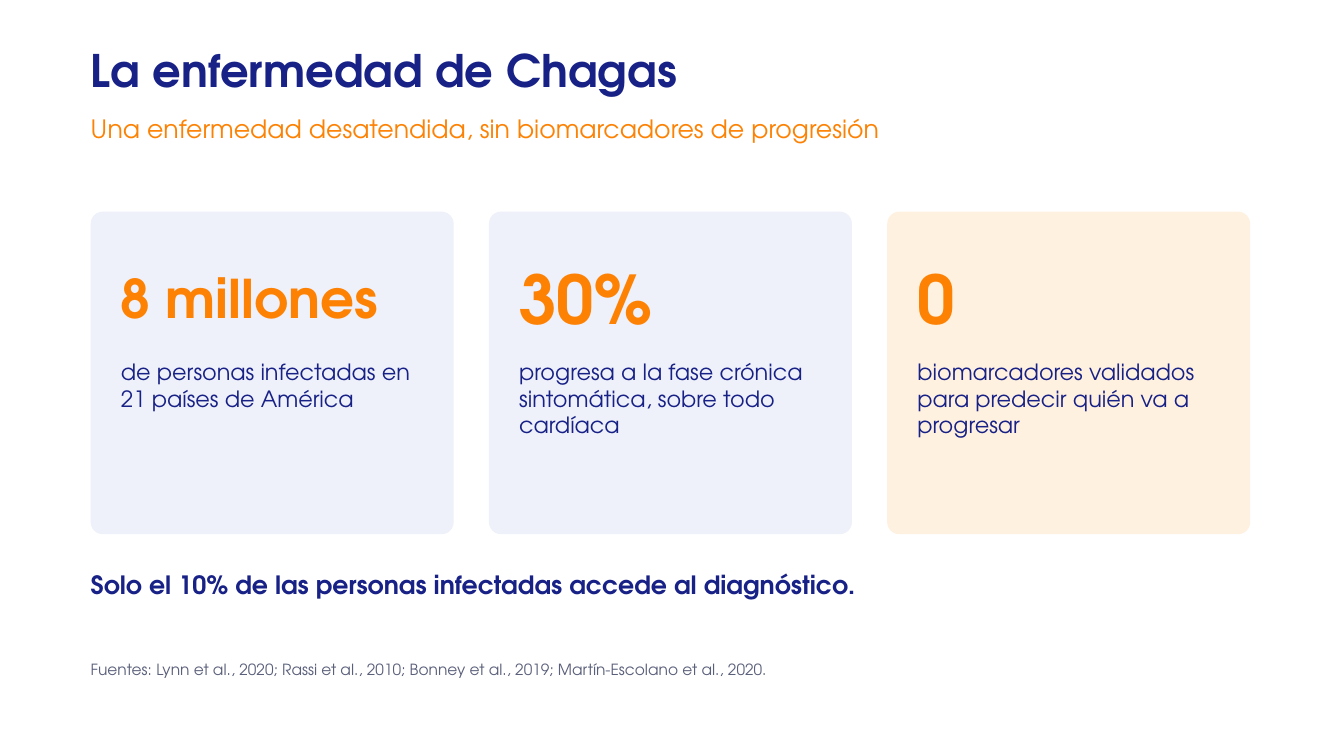
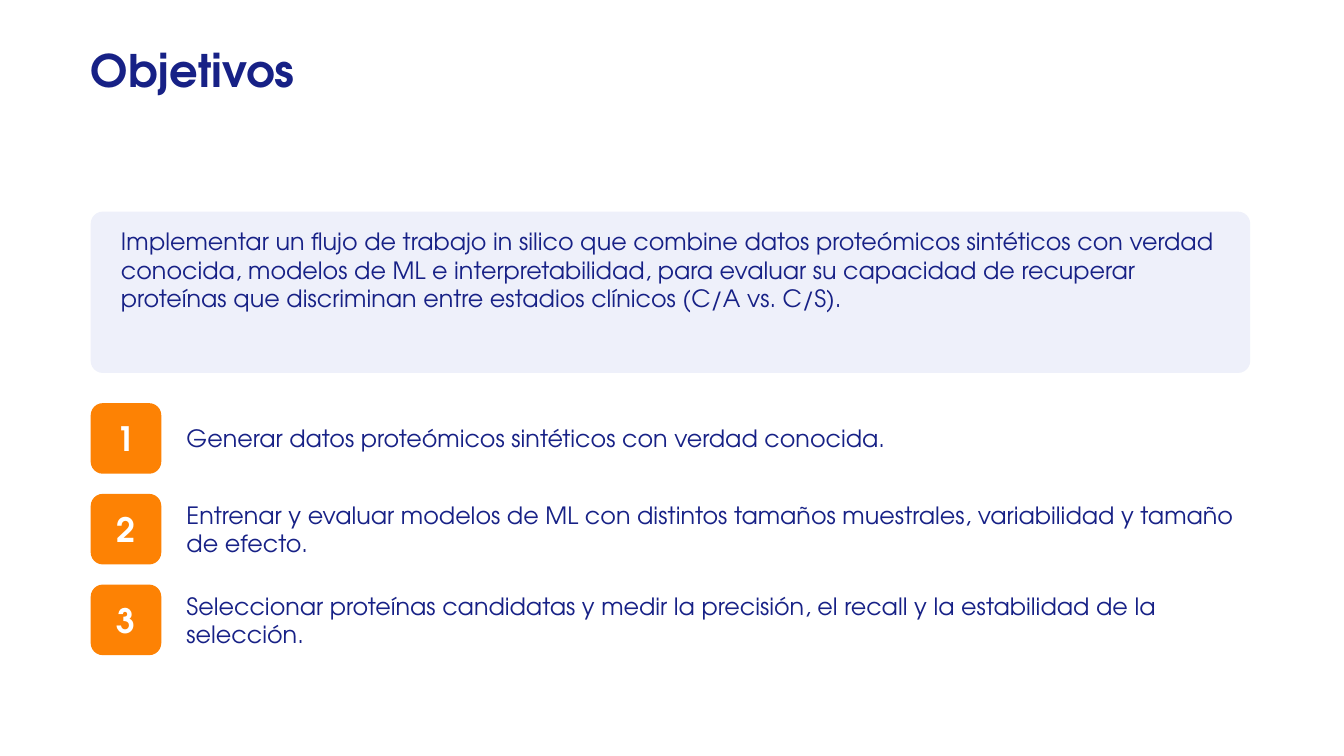
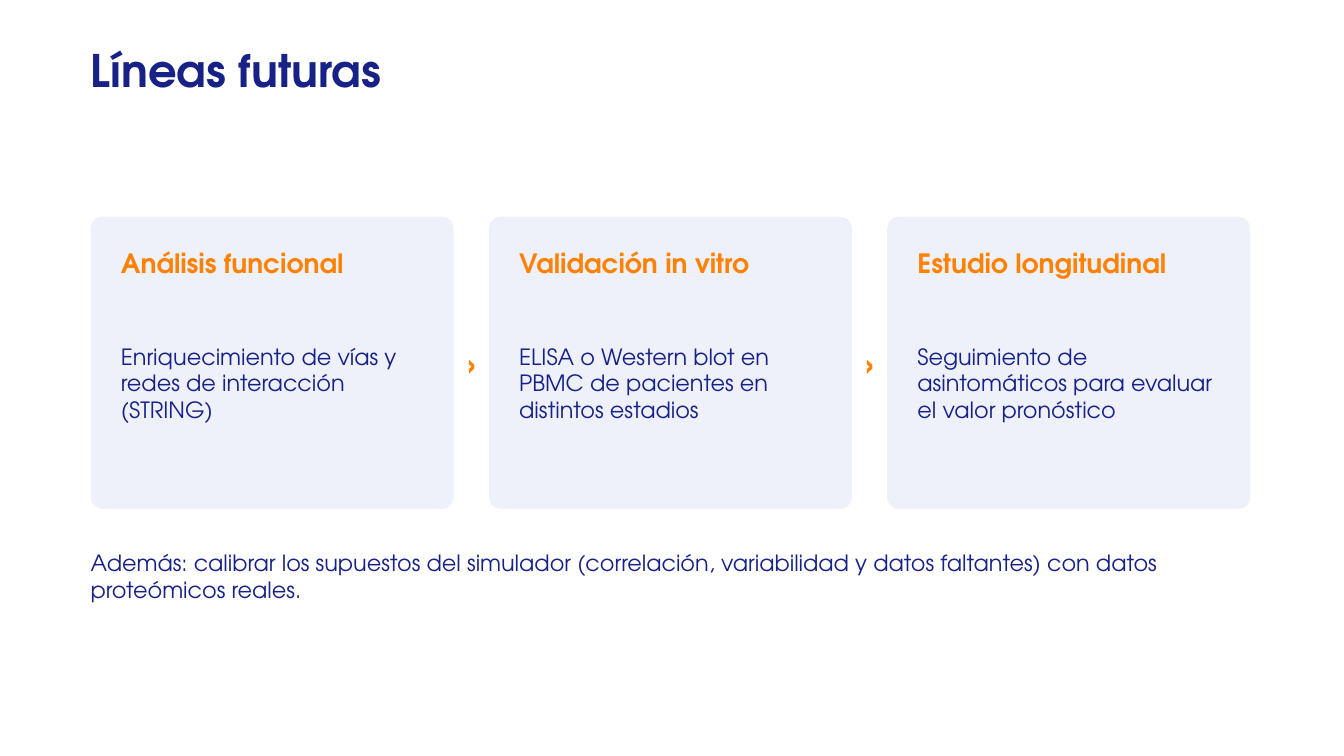
from pptx import Presentation
from pptx.dml.color import RGBColor
from pptx.enum.shapes import MSO_SHAPE
from pptx.enum.text import MSO_ANCHOR, MSO_AUTO_SIZE, PP_ALIGN
from pptx.util import Inches, Pt

FONT = "TeX Gyre Adventor"
NAVY, ORANGE, WHITE, GREY = "172186", "FD8204", "FFFFFF", "5A5F7A"
PALE_BLUE, PALE_ORANGE = "EEF0FA", "FFF1E0"
LEFT, WIDTH = 0.9, 11.5
PADDING, RADIUS = 0.3, 0.12
CARD_WIDTH, CARD_GAP = 3.6, 0.35
BADGE, BADGE_GAP, STEP_WIDTH, STEP_PITCH = 0.7, 0.25, 10.5, 0.9


def color(hex_value):
    """Turn a hex string into a colour."""
    return RGBColor.from_string(hex_value)


def add_text(slide, text, box, size, hex_value=NAVY, bold=False,
             anchor=MSO_ANCHOR.TOP, align=PP_ALIGN.LEFT):
    """Place one paragraph in a box given as left, top, width, height."""
    frame = slide.shapes.add_textbox(*map(Inches, box)).text_frame
    frame_format = {"word_wrap": True, "auto_size": MSO_AUTO_SIZE.SHAPE_TO_FIT_TEXT,
                    "vertical_anchor": anchor, "margin_left": 0, "margin_top": 0,
                    "margin_right": 0, "margin_bottom": 0}
    paragraph = frame.paragraphs[0]
    paragraph_format = {"text": text, "alignment": align, "space_after": Pt(6)}
    font_format = {"name": FONT, "size": Pt(size), "bold": bold}
    for target, values in ((frame, frame_format), (paragraph, paragraph_format),
                           (paragraph.font, font_format)):
        for name, value in values.items():
            setattr(target, name, value)
    paragraph.font.color.rgb = color(hex_value)


def add_panel(slide, box, hex_value=PALE_BLUE):
    """Draw a borderless panel whose corners share one radius."""
    shape = slide.shapes.add_shape(MSO_SHAPE.ROUNDED_RECTANGLE, *map(Inches, box))
    shape.adjustments[0] = RADIUS / min(box[2:])
    shape.shadow.inherit = False
    shape.fill.solid()
    shape.fill.fore_color.rgb = color(hex_value)
    shape.line.fill.background()


def add_titled_slide(presentation, title, subtitle=None):
    """Add a blank slide with a title and an optional subtitle."""
    slide = presentation.slides.add_slide(presentation.slide_layouts[6])
    add_text(slide, title, (LEFT, 0.42, 10.2, 0.7), 32, bold=True)
    if subtitle:
        add_text(slide, subtitle, (LEFT, 1.12, 10.2, 0.45), 18, ORANGE)
    return slide


def card_boxes(top, height, count=3):
    """Return the boxes of a row of equal cards."""
    return [(LEFT + index * (CARD_WIDTH + CARD_GAP), top, CARD_WIDTH, height)
            for index in range(count)]


def add_card(slide, box, heading, size, body, heading_height, body_top, body_height,
             fill=PALE_BLUE, anchor=MSO_ANCHOR.TOP):
    """Draw a card with an orange heading above its body text."""
    left, top, width, _ = box
    inner_left, inner_width = left + PADDING, width - 2 * PADDING
    add_panel(slide, box, fill)
    add_text(slide, heading, (inner_left, top + PADDING, inner_width, heading_height),
             size, ORANGE, True, anchor)
    add_text(slide, body, (inner_left, top + body_top, inner_width, body_height), 16)


def add_step(slide, left, top, number, text):
    """Draw a numbered badge with its objective beside it."""
    badge = (left, top, BADGE, BADGE)
    add_panel(slide, badge, ORANGE)
    add_text(slide, str(number), badge, 24, WHITE, True, MSO_ANCHOR.MIDDLE, PP_ALIGN.CENTER)
    add_text(slide, text, (left + BADGE + BADGE_GAP, top, STEP_WIDTH, BADGE), 17,
             anchor=MSO_ANCHOR.MIDDLE)


def build_disease(presentation):
    """Build the slide of key figures."""
    slide = add_titled_slide(presentation, "La enfermedad de Chagas",
                             "Una enfermedad desatendida, sin biomarcadores de progresión")
    figures = [
        ("8 millones", 38, "de personas infectadas en 21 países de América", PALE_BLUE),
        ("30%", 48, "progresa a la fase crónica sintomática, sobre todo cardíaca", PALE_BLUE),
        ("0", 48, "biomarcadores validados para predecir quién va a progresar", PALE_ORANGE),
    ]
    for box, (figure, size, body, fill) in zip(card_boxes(2.1, 3.2), figures):
        add_card(slide, box, figure, size, body, 1.1, 1.45, 1.55, fill, MSO_ANCHOR.MIDDLE)
    add_text(slide, "Solo el 10% de las personas infectadas accede al diagnóstico.",
             (LEFT, 5.65, WIDTH, 0.4), 18, bold=True)
    add_text(slide, "Fuentes: Lynn et al., 2020; Rassi et al., 2010; Bonney et al., 2019; "
             "Martín-Escolano et al., 2020.", (LEFT, 6.55, WIDTH, 0.3), 11, GREY)


def build_objectives(presentation):
    """Build the slide of the general aim and numbered objectives."""
    slide = add_titled_slide(presentation, "Objetivos")
    add_panel(slide, (LEFT, 2.1, WIDTH, 1.6))
    add_text(slide, "Implementar un flujo de trabajo in silico que combine datos proteómicos "
             "sintéticos con verdad conocida, modelos de ML e interpretabilidad, para evaluar "
             "su capacidad de recuperar proteínas que discriminan entre estadios clínicos "
             "(C/A vs. C/S).", (LEFT + PADDING, 2.25, WIDTH - 2 * PADDING, 1.3), 17)
    objectives = [
        "Generar datos proteómicos sintéticos con verdad conocida.",
        "Entrenar y evaluar modelos de ML con distintos tamaños muestrales, variabilidad "
        "y tamaño de efecto.",
        "Seleccionar proteínas candidatas y medir la precisión, el recall y la estabilidad "
        "de la selección.",
    ]
    for index, objective in enumerate(objectives):
        add_step(slide, LEFT, 4 + index * STEP_PITCH, index + 1, objective)


def build_future(presentation):
    """Build the slide of future work as a chain of cards."""
    slide = add_titled_slide(presentation, "Líneas futuras")
    stages = [
        ("Análisis funcional", "Enriquecimiento de vías y redes de interacción (STRING)"),
        ("Validación in vitro", "ELISA o Western blot en PBMC de pacientes en distintos estadios"),
        ("Estudio longitudinal", "Seguimiento de asintomáticos para evaluar el valor pronóstico"),
    ]
    boxes = card_boxes(2.15, 2.9)
    for box, (heading, body) in zip(boxes, stages):
        add_card(slide, box, heading, 19, body, 0.8, 1.25, 1.5)
    for left, top, width, height in boxes[:-1]:
        add_text(slide, "›", (left + width, top + height / 2 - 0.25, CARD_GAP, 0.5), 28,
                 ORANGE, True, MSO_ANCHOR.MIDDLE, PP_ALIGN.CENTER)
    add_text(slide, "Además: calibrar los supuestos del simulador (correlación, variabilidad "
             "y datos faltantes) con datos proteómicos reales.", (LEFT, 5.45, WIDTH, 0.8), 16)


def main():
    """Build and save the presentation."""
    presentation = Presentation()
    presentation.slide_width, presentation.slide_height = Inches(13.33), Inches(7.5)
    for build in (build_disease, build_objectives, build_future):
        build(presentation)
    presentation.save("out.pptx")


if __name__ == "__main__":
    main()
